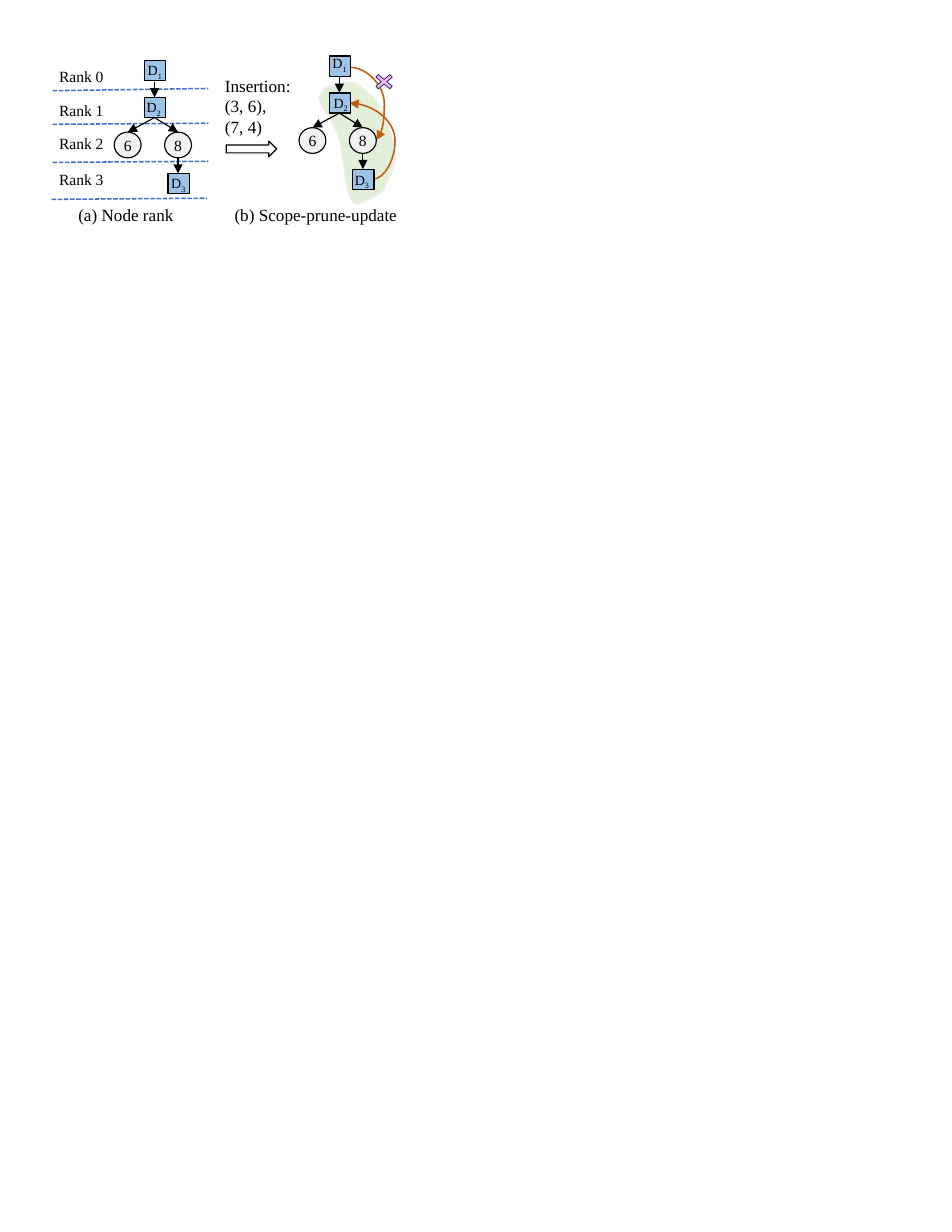
from lxml import etree
from pptx import Presentation, util as u
from pptx.dml.color import RGBColor
from pptx.enum import dml, shapes, text
from pptx.oxml.ns import qn

THEME = {
    "font": "Times New Roman",
    "ink": "000000", "square": "9DC3E6", "circle": "F2F2F2",
    "divider": "4472C4", "update": "C55A11",
    "scope": "E2F0D9", "scope_edge": "EDEDED",
    "cross": "FFAFFF", "cross_edge": "1E3256",
    "caption": 11, "rank": 10, "circle_size": 10, "square_size": 9,
    "thin": 0.5, "line": 0.75, "bold": 1,
}

# Content: captions are (lines, left, top, width, height, alignment)
CENTER, LEFT = text.PP_ALIGN.CENTER, text.PP_ALIGN.LEFT
CAPTIONS = [
    (["(a) Node rank"], 0.01, 1.78, 2.23, 0.29, CENTER),
    (["(b) Scope-prune-update"], 1.93, 1.78, 1.78, 0.29, CENTER),
    (["Insertion:", "(3, 6),", "(7, 4)"], 1.91, 0.62, 0.79, 0.66, LEFT),
]
RANKS = [("Rank 0", 0.55), ("Rank 1", 0.85), ("Rank 2", 1.15), ("Rank 3", 1.47)]
DIVIDERS = [(0.47, 0.81, 0.79), (0.47, 1.11, 1.10),
            (0.47, 1.45, 1.44), (0.46, 1.78, 1.77)]  # left, start y, end y
DIVIDER_WIDTH = 1.39

# One tree, placed twice; positions are relative to the tree's origin
SQUARES = [("1", 0.27, 0), ("2", 0.27, 0.33), ("3", 0.48, 1.01)]
CIRCLES = [("6", 0, 0.64), ("8", 0.45, 0.64)]
EDGES = [(0.36, 0.19, 0.36, 0.33), (0.36, 0.51, 0.12, 0.64),
         (0.36, 0.51, 0.57, 0.64), (0.57, 0.87, 0.57, 1.01)]
SQUARE_W, SQUARE_H = 0.19, 0.18
CIRCLE_W, CIRCLE_H = 0.24, 0.23
TREES = [  # origin, then label offsets from each square
    ((1.02, 0.54), [(-0.07, -0.04), (-0.08, -0.04), (-0.07, -0.04)]),
    ((2.67, 0.50), [(-0.07, -0.06), (-0.06, -0.04), (-0.08, -0.03)]),
]
# Inserted edges: start x, y, end x, y, bend
INSERTED = [(3.12, 0.60, 3.36, 1.25, 1.298), (3.33, 1.60, 3.12, 0.92, -0.942)]
SCOPE = [
    (3.19, 1.82), (3.29, 1.78), (3.39, 1.73), (3.43, 1.69), (3.46, 1.61),
    (3.50, 1.53), (3.52, 1.48), (3.53, 1.38), (3.52, 1.31), (3.49, 1.19),
    (3.45, 1.09), (3.41, 0.99), (3.34, 0.87), (3.27, 0.82), (3.20, 0.76),
    (3.16, 0.74), (3.09, 0.73), (2.98, 0.76), (2.92, 0.78), (2.88, 0.81),
    (2.85, 0.87), (2.87, 0.94), (2.95, 1.06), (3.01, 1.18), (3.04, 1.28),
    (3.06, 1.41), (3.08, 1.54), (3.10, 1.68), (3.12, 1.75), (3.16, 1.81),
]

deck = Presentation()
deck.slide_width, deck.slide_height = u.Inches(8.5), u.Inches(11)
page = deck.slides.add_slide(deck.slide_layouts[6])


def color(name):
    return RGBColor.from_string(THEME[name])


def style(shape, fill, line="ink", width="line"):
    shape.shadow.inherit = False
    if fill:
        shape.fill.solid()
        shape.fill.fore_color.rgb = color(fill)
    else:
        shape.fill.background()
    shape.line.color.rgb = color(line)
    shape.line.width = u.Pt(THEME[width])
    return shape


def add_shape(kind, left, top, width, height, *look):
    place = map(u.Inches, (left, top, width, height))
    return style(page.shapes.add_shape(kind, *place), *look)


def set_font(para, size, align=LEFT):
    para.alignment = align
    para.font.name, para.font.size = THEME["font"], u.Pt(THEME[size])
    para.font.color.rgb = color("ink")


def add_text(lines, left, top, width, height, size, align=LEFT):
    box = page.shapes.add_textbox(*map(u.Inches, (left, top, width, height)))
    frame = box.text_frame
    frame.word_wrap = True
    frame.auto_size = text.MSO_AUTO_SIZE.SHAPE_TO_FIT_TEXT
    for number, line in enumerate(lines):
        para = frame.add_paragraph() if number else frame.paragraphs[0]
        para.text = line
        set_font(para, size, align)
    return box


def add_line(ends, line="ink", width="line", arrow=True, bend=None):
    kind = shapes.MSO_CONNECTOR.STRAIGHT if bend is None else shapes.MSO_CONNECTOR.CURVE
    link = page.shapes.add_connector(kind, *map(u.Inches, ends))
    link.line.color.rgb = color(line)
    link.line.width = u.Pt(THEME[width])
    properties = link._element.spPr
    if arrow:
        etree.SubElement(properties.find(qn("a:ln")), qn("a:tailEnd"), type="triangle")
    if bend is not None:
        guides = properties.find(qn("a:prstGeom")).find(qn("a:avLst"))
        etree.SubElement(guides, qn("a:gd"), name="adj1",
                         fmla=f"val {round(bend * 100000)}")
    etree.SubElement(properties, qn("a:effectLst"))
    return link


def add_tree(origin, label_offsets):
    x, y = origin
    for x1, y1, x2, y2 in EDGES:
        add_line((x + x1, y + y1, x + x2, y + y2))
    for label, dx, dy in CIRCLES:
        circle = add_shape(shapes.MSO_SHAPE.OVAL, x + dx, y + dy,
                           CIRCLE_W, CIRCLE_H, "circle")
        frame = circle.text_frame
        frame.margin_left = frame.margin_right = 0
        frame.margin_top = frame.margin_bottom = 0
        frame.vertical_anchor = text.MSO_ANCHOR.MIDDLE
        frame.text = label
        set_font(frame.paragraphs[0], "circle_size", CENTER)
    for (index, dx, dy), (shift_x, shift_y) in zip(SQUARES, label_offsets):
        left, top = x + dx, y + dy
        add_shape(shapes.MSO_SHAPE.RECTANGLE, left, top, SQUARE_W, SQUARE_H, "square")
        box = add_text(["D"], left + shift_x, top + shift_y, 0.41, 0.25, "square_size")
        span = box.text_frame.paragraphs[0].add_run()
        span.text = index
        span._r.get_or_add_rPr().set("baseline", "-25000")


# Update scope behind the right tree
outline = [(u.Inches(x), u.Inches(y)) for x, y in SCOPE]
builder = page.shapes.build_freeform(*outline[0])
builder.add_line_segments(outline[1:], close=True)
style(builder.convert_to_shape(), "scope", "scope_edge", "bold")

# Rank dividers and labels
for left, start, end in DIVIDERS:
    divider = add_line((left, start, left + DIVIDER_WIDTH, end), "divider", "bold", False)
    divider.line.dash_style = dml.MSO_LINE.SQUARE_DOT
for label, top in RANKS:
    add_text([label], 0.43, top, 1.38, 0.27, "rank")

# Captions and the insertion note
for lines, left, top, width, height, align in CAPTIONS:
    add_text(lines, left, top, width, height, "caption", align)

# Inserted edges, the pruning cross and the step arrow
for *ends, bend in INSERTED:
    add_line(ends, "update", "bold", bend=bend)
cross = add_shape(shapes.MSO_SHAPE.MATH_MULTIPLY, 3.31, 0.63, 0.24, 0.20,
                  "cross", "cross_edge", "thin")
cross.adjustments[0] = 0.158
add_shape(shapes.MSO_SHAPE.RIGHT_ARROW, 2.02, 1.26, 0.45, 0.14, None)

# Trees before and after insertion
for origin, label_offsets in TREES:
    add_tree(origin, label_offsets)

deck.save("out.pptx")
